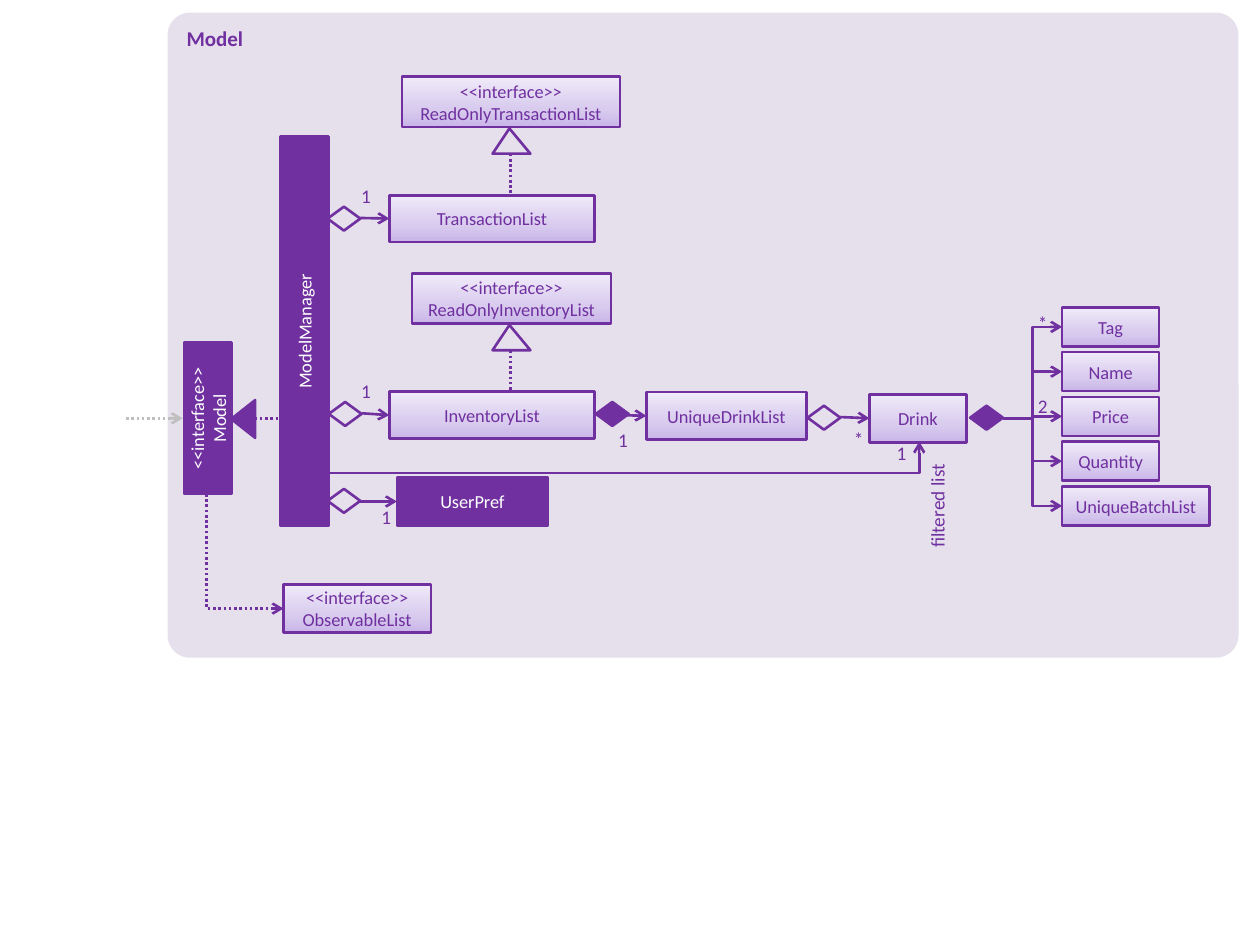
import copy
import pptx
import pptx.dml.color
import pptx.enum.dml
import pptx.enum.shapes
import pptx.enum.text
import pptx.oxml
import pptx.oxml.ns
import pptx.util

RGBColor = pptx.dml.color.RGBColor
Inches, Pt = pptx.util.Inches, pptx.util.Pt
KIND = pptx.enum.shapes.MSO_SHAPE
WIRE = pptx.enum.shapes.MSO_CONNECTOR
ALIGN = pptx.enum.text.PP_ALIGN
ANCHOR = pptx.enum.text.MSO_ANCHOR
DOTS = pptx.enum.dml.MSO_LINE.ROUND_DOT

PURPLE = RGBColor(0x70, 0x30, 0xA0)
WHITE = RGBColor(0xFF, 0xFF, 0xFF)
LILAC = RGBColor(0xE6, 0xE0, 0xEC)
GREY = RGBColor(0xBF, 0xBF, 0xBF)
SHADES = [(0, RGBColor(0xC9, 0xB5, 0xE8)), (0.35, RGBColor(0xD8, 0xCB, 0xEE)),
          (1, RGBColor(0xF0, 0xEA, 0xF9))]
FACE = "Calibri"

# Class boxes: text lines, left, top, width, height
PALE = [
    (["TransactionList"], 3.09, 1.55, 1.63, 0.37),
    (["InventoryList"], 3.09, 3.11, 1.63, 0.37),
    (["UniqueDrinkList"], 5.13, 3.11, 1.27, 0.38),
    (["Drink"], 6.9, 3.13, 0.77, 0.38),
    (["<<interface>>", "ReadOnlyTransactionList"], 3.19, 0.61, 1.73, 0.4),
    (["<<interface>>", "ReadOnlyInventoryList"], 3.27, 2.17, 1.58, 0.4),
    (["<<interface>>", "ObservableList"], 2.25, 4.64, 1.17, 0.38),
]
# Solid boxes: text lines, left, top, width, height, rotation
SOLID = [
    (["UserPref"], 3.15, 3.79, 1.2, 0.38, 0),
    (["ModelManager"], 0.87, 2.44, 3.09, 0.38, 270),
    (["<<interface>>", "Model"], 1.05, 3.13, 1.2, 0.38, 270),
]
# Fields of a drink: text, width
PARTS = [("Tag", 0.77), ("Name", 0.77), ("Price", 0.77), ("Quantity", 0.77),
         ("UniqueBatchList", 1.17)]
PART_X, PART_Y, PART_H, STEP = 8.43, 2.44, 0.31, 0.355
HUB = (7.96, 3.32)

# Arrows into the left side of a box: start point, box name
ARROWS = [((2.86, 1.73), "TransactionList"), ((2.87, 3.28), "InventoryList"),
          ((2.85, 3.98), "UserPref"), ((4.73, 3.29), "UniqueDrinkList"),
          ((6.67, 3.31), "Drink")]
# Diamonds: left, top, filled
GEMS = [(2.6, 1.64, False), (2.61, 3.19, False), (2.6, 3.88, False),
        (4.73, 3.19, True), (6.41, 3.22, False), (7.7, 3.22, True)]
# Hollow triangles, each with a dotted line below
PEAK_X, PEAK_TOPS = 3.91, [1.02, 2.58]
# Counts: text, left, top
COUNTS = [("1", 4.84, 3.4), ("*", 6.71, 3.39), ("1", 2.8, 3.01), ("1", 2.96, 4.01),
          ("1", 7.05, 3.5), ("*", 8.17, 2.47), ("1", 2.8, 1.46), ("2", 8.17, 3.13)]

deck = pptx.Presentation()
deck.slide_width, deck.slide_height = Inches(10), Inches(7.5)
slide = deck.slides.add_slide(deck.slide_layouts[6])
shapes = slide.shapes


def shade(shape):
    """Fill a shape with the three-stop gradient, darkest at the bottom."""
    fill = shape.fill
    fill.gradient()
    fill.gradient_angle = 90
    stop = shape._element.spPr.find(".//" + pptx.oxml.ns.qn("a:gs"))
    stop.addnext(copy.deepcopy(stop))
    for item, (place, tone) in zip(fill.gradient_stops, SHADES):
        item.position = place
        item.color.rgb = tone


def paint(shape, tone):
    if tone is None:
        shape.fill.background()
    else:
        shape.fill.solid()
        shape.fill.fore_color.rgb = tone


def draw(kind, left, top, width, height, turn=0):
    shape = shapes.add_shape(kind, *map(Inches, (left, top, width, height)))
    shape.shadow.inherit = False
    shape.rotation = turn
    shape.line.color.rgb = PURPLE
    shape.line.width = Pt(1.5)
    return shape


def write(para, text, size, tone, align, bold=False):
    para.alignment = align
    run = para.add_run()
    run.text = text
    font = run.font
    font.name, font.size, font.bold = FACE, Pt(size), bold
    font.color.rgb = tone


def label(shape, lines, tone):
    frame = shape.text_frame
    frame.word_wrap = True
    frame.vertical_anchor = ANCHOR.MIDDLE
    for i, text in enumerate(lines):
        para = frame.add_paragraph() if i else frame.paragraphs[0]
        write(para, text, 10.5, tone, ALIGN.CENTER)


def note(text, left, top, width, height, align):
    box = shapes.add_textbox(*map(Inches, (left, top, width, height)))
    box.text_frame.word_wrap = True
    write(box.text_frame.paragraphs[0], text, 11, PURPLE, align)
    return box


def wire(start, end, kind=WIRE.STRAIGHT, tone=PURPLE, dots=False, head=True):
    link = shapes.add_connector(kind, *map(Inches, start + end))
    link.line.color.rgb = tone
    link.line.width = Pt(1.5)
    if dots:
        link.line.dash_style = DOTS
    if head:
        tip = pptx.oxml.parse_xml('<a:tailEnd %s type="arrow"/>' % pptx.oxml.ns.nsdecls("a"))
        link.line._get_or_add_ln().append(tip)
    link._element.spPr.append(
        pptx.oxml.parse_xml("<a:effectLst %s/>" % pptx.oxml.ns.nsdecls("a")))
    return link


def swing(link, turn, shape, share=None):
    """Rotate an elbow, pick its preset and set where it bends."""
    frame = link._element.spPr
    frame.find(pptx.oxml.ns.qn("a:xfrm")).set("rot", str(turn * 60000))
    geom = frame.find(pptx.oxml.ns.qn("a:prstGeom"))
    geom.set("prst", shape)
    if share is not None:
        for old in list(geom):
            geom.remove(old)
        geom.append(pptx.oxml.parse_xml(
            '<a:avLst %s><a:gd name="adj1" fmla="val %d"/></a:avLst>'
            % (pptx.oxml.ns.nsdecls("a"), share * 100000)))


panel = draw(KIND.ROUNDED_RECTANGLE, 1.33, 0.1, 8.5, 5.12)
panel.adjustments[0] = 0.035
paint(panel, LILAC)
panel.line.fill.background()
panel.text_frame.vertical_anchor = ANCHOR.TOP
write(panel.text_frame.paragraphs[0], "Model", 12, PURPLE, ALIGN.LEFT, True)

# Filtered list runs from the manager to the drink
swing(wire((5.19, 6.28), (4.52, 1.4), WIRE.ELBOW), 90, "bentConnector3", 0.627)

boxes = {}
for lines, *place in SOLID:
    box = boxes[lines[-1]] = draw(KIND.RECTANGLE, *place)
    paint(box, PURPLE)
    label(box, lines, WHITE)

fields = [([text], PART_X, PART_Y + i * STEP, width, PART_H)
          for i, (text, width) in enumerate(PARTS)]
for lines, *place in PALE + fields:
    box = boxes[lines[-1]] = draw(KIND.RECTANGLE, *place)
    shade(box)
    label(box, lines, PURPLE)

for start, name in ARROWS:
    box = boxes[name]
    side = (box.left.inches, box.top.inches + box.height.inches / 2)
    wire(start, side).end_connect(box, 1)
for lines, left, top, width, height in fields:
    wire(HUB, (left, top + height / 2), WIRE.ELBOW)

wire((1, 3.32), (1.45, 3.32), tone=GREY, dots=True)
wire((2.02, 3.32), (2.26, 3.32), dots=True, head=False)
# Dependency drops from the model's foot, then turns right to the observable list
swing(wire((2.4, 4.07), (1.49, 4.68), WIRE.ELBOW, dots=True), 270, "bentConnector2")

for left, top, full in GEMS:
    paint(draw(KIND.FLOWCHART_DECISION, left, top, 0.26, 0.19), PURPLE if full else None)
for top in PEAK_TOPS:
    wire((4.05, top + 0.2), (4.05, top + 0.53), dots=True, head=False)
    peak = draw(KIND.ISOSCELES_TRIANGLE, PEAK_X, top, 0.3, 0.2)
    peak.adjustments[0] = 0.445
    paint(peak, LILAC)
paint(draw(KIND.ISOSCELES_TRIANGLE, 1.78, 3.23, 0.3, 0.19, 270), PURPLE)

note("filtered list", 6.96, 3.92, 0.96, 0.29, ALIGN.RIGHT).rotation = 270
for text, left, top in COUNTS:
    frame = note(text, left, top, 0.21, 0.2, ALIGN.CENTER).text_frame
    frame.margin_left = frame.margin_right = frame.margin_top = frame.margin_bottom = 0

deck.save("out.pptx")
